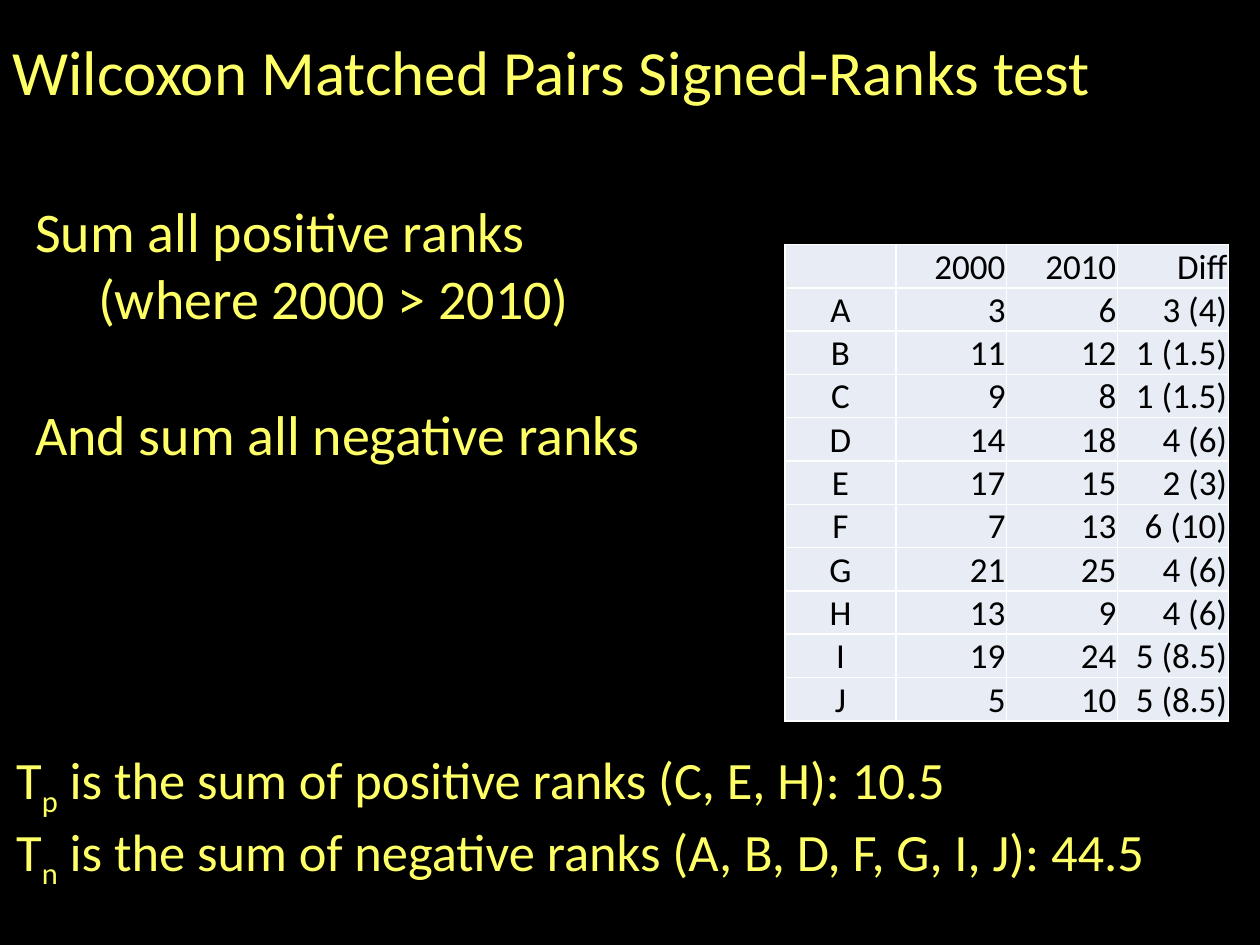
from dataclasses import dataclass

from lxml.etree import SubElement
from pptx import Presentation
from pptx.dml.color import RGBColor as Color
from pptx.enum.text import MSO_ANCHOR as Anchor, PP_ALIGN as Align
from pptx.oxml.ns import qn
from pptx.util import Inches, Pt


@dataclass(frozen=True)
class Theme:
    font: str = "Calibri"
    background: str = "000000"
    text: str = "FFFF66"
    cell_text: str = "000000"
    cell_fill: str = "E8ECF4"
    border: str = "FFFFFF"
    border_width: float = 1
    title_size: int = 36
    body_size: int = 32
    result_size: int = 30
    cell_size: int = 20
    subscript: int = -25  # percent of the type size


THEME = Theme()
WIDTH, HEIGHT = 10, 7.5

RANKS = [
    ("", "2000", "2010", "Diff"),
    ("A", "3", "6", "3 (4)"),
    ("B", "11", "12", "1 (1.5)"),
    ("C", "9", "8", "1 (1.5)"),
    ("D", "14", "18", "4 (6)"),
    ("E", "17", "15", "2 (3)"),
    ("F", "7", "13", "6 (10)"),
    ("G", "21", "25", "4 (6)"),
    ("H", "13", "9", "4 (6)"),
    ("I", "19", "24", "5 (8.5)"),
    ("J", "5", "10", "5 (8.5)"),
]
COLUMN_WIDTH, ROW_HEIGHT = 0.88, 0.34


def add_run(paragraph, text, size, color=THEME.text, subscript=False):
    run = paragraph.add_run()
    run.text = text
    run.font.name = THEME.font
    run.font.size = Pt(size)
    run.font.color.rgb = Color.from_string(color)
    if subscript:
        run.font._element.set("baseline", str(THEME.subscript * 1000))


def add_text(slide, box, size, lines, anchor=Anchor.TOP):
    """Each line is a list of (text, is subscript) runs; return its paragraphs."""
    frame = slide.shapes.add_textbox(*map(Inches, box)).text_frame
    frame.word_wrap = True
    frame.vertical_anchor = anchor
    for index, runs in enumerate(lines):
        paragraph = frame.add_paragraph() if index else frame.paragraphs[0]
        for text, subscript in runs:
            add_run(paragraph, text, size, subscript=subscript)
    return frame.paragraphs


def add_borders(cell):
    properties = cell._tc.get_or_add_tcPr()
    for position, side in enumerate(("a:lnL", "a:lnR", "a:lnT", "a:lnB")):
        line = SubElement(properties, qn(side), w=str(Pt(THEME.border_width)))
        fill = SubElement(line, qn("a:solidFill"))
        SubElement(fill, qn("a:srgbClr"), val=THEME.border)
        properties.insert(position, line)  # borders come before the fill


def fill_cell(cell, text, alignment):
    cell.fill.solid()
    cell.fill.fore_color.rgb = Color.from_string(THEME.cell_fill)
    cell.margin_left = cell.margin_right = cell.margin_top = Inches(0.01)
    cell.margin_bottom = 0
    cell.vertical_anchor = Anchor.BOTTOM
    add_borders(cell)
    if text:
        paragraph = cell.text_frame.paragraphs[0]
        paragraph.alignment = alignment
        add_run(paragraph, text, THEME.cell_size, THEME.cell_text)


def add_rank_table(slide, left, top, rows):
    row_count, column_count = len(rows), len(rows[0])
    size = (column_count * COLUMN_WIDTH, row_count * ROW_HEIGHT)
    table = slide.shapes.add_table(
        row_count, column_count, *map(Inches, (left, top, *size))
    ).table
    table.first_row = table.horz_banding = False
    for row, values in enumerate(rows):
        for column, value in enumerate(values):
            alignment = Align.RIGHT if column else Align.CENTER
            fill_cell(table.cell(row, column), value, alignment)


def result_line(index, explanation):
    return [("T", False), (index, True), (explanation, False)]


def main():
    presentation = Presentation()
    presentation.slide_width, presentation.slide_height = Inches(WIDTH), Inches(HEIGHT)
    slide = presentation.slides.add_slide(presentation.slide_layouts[6])
    slide.background.fill.solid()
    slide.background.fill.fore_color.rgb = Color.from_string(THEME.background)

    # Title
    title = [[("Wilcoxon Matched Pairs Signed-Ranks test", False)]]
    add_text(slide, (0, 0.17, 9.94, 0.77), THEME.title_size, title, Anchor.MIDDLE)

    # Instructions, with one line of space before the last
    steps = [
        [("Sum all positive ranks", False)],
        [("\t(where 2000 > 2010)", False)],
        [("And sum all negative ranks", False)],
    ]
    paragraphs = add_text(slide, (0.18, 1.51, 5.83, 2.26), THEME.body_size, steps)
    paragraphs[-1].space_before = Pt(THEME.body_size * 1.22)

    # Scores and ranked differences
    add_rank_table(slide, 6.23, 1.94, RANKS)

    # Rank sums
    results = [
        result_line("p", " is the sum of positive ranks (C, E, H): 10.5"),
        result_line("n", " is the sum of negative ranks (A, B, D, F, G, I, J): 44.5"),
    ]
    add_text(slide, (0.03, 5.88, 9.88, 1.18), THEME.result_size, results)

    presentation.save("out.pptx")


if __name__ == "__main__":
    main()
